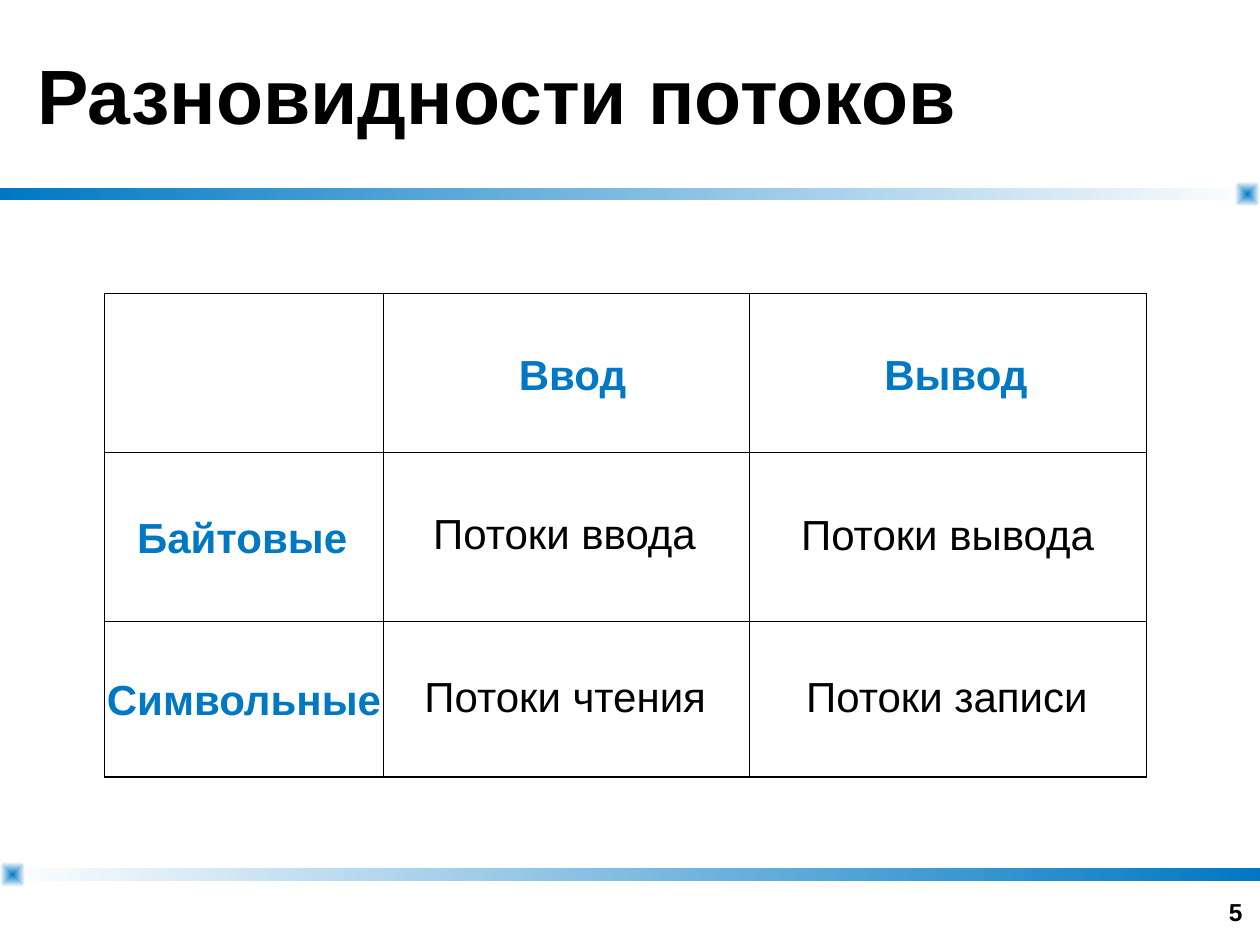
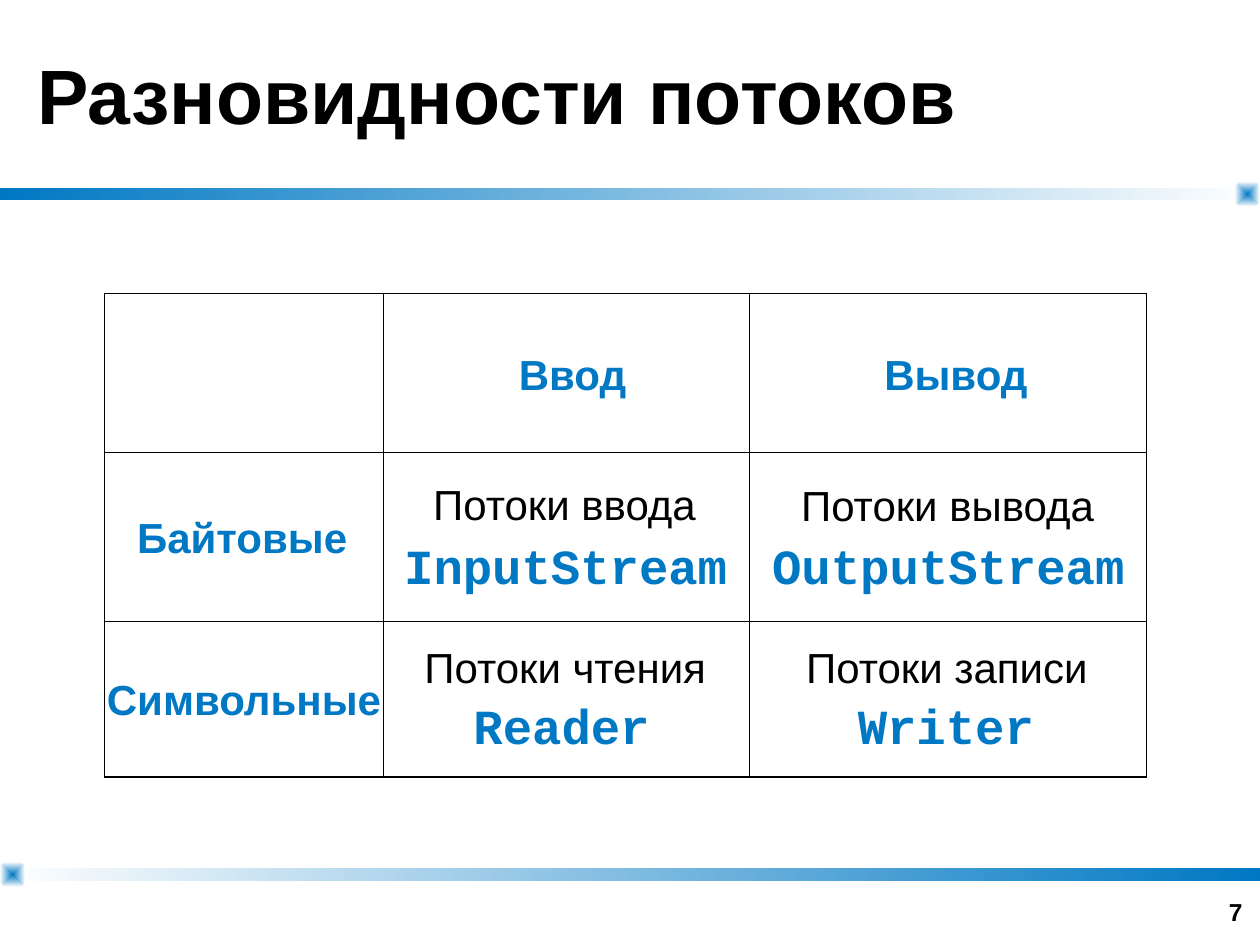
from lxml import etree
from pptx import Presentation
from pptx.dml.color import RGBColor
from pptx.enum.shapes import MSO_SHAPE
from pptx.enum.text import MSO_ANCHOR, MSO_AUTO_SIZE, PP_ALIGN
from pptx.oxml.ns import qn
from pptx.util import Inches, Pt

RECTANGLE, ROUNDED = MSO_SHAPE.RECTANGLE, MSO_SHAPE.ROUNDED_RECTANGLE
TOP, MIDDLE, BOTTOM = MSO_ANCHOR.TOP, MSO_ANCHOR.MIDDLE, MSO_ANCHOR.BOTTOM
LEFT, RIGHT = PP_ALIGN.LEFT, PP_ALIGN.RIGHT
NO_AUTO_SIZE = MSO_AUTO_SIZE.NONE

BLUE, WHITE, BLACK = "0078C3", "FFFFFF", "000000"
SANS, MONO = "Arial", "Courier New"

SLIDE_WIDTH, SLIDE_HEIGHT = 10, 7.5
BAND_HEIGHT, MARKER_SIZE = 0.1, 0.2
# band top, colour at left, colour at right, left edge of the marker
BANDS = [
    (1.49, BLUE, WHITE, SLIDE_WIDTH - MARKER_SIZE),
    (6.89, WHITE, BLUE, 0),
]

TITLE = "Разновидности потоков"
TABLE_LEFT, TABLE_TOP = 0.83, 2.33
COLUMN_WIDTHS = [2.21, 2.91, 3.15]
ROW_HEIGHTS = [1.26, 1.34, 1.24]
OUTER_LINE, INNER_LINE = 1.08, 0.45

# text, left, top, width
HEADINGS = [
    ("Ввод", 4.02, 2.72, 1.06),
    ("Вывод", 6.92, 2.72, 1.34),
    ("Байтовые", 0.99, 4.01, 1.87),
    ("Символьные", 0.75, 5.3, 2.39),
]
STREAM_KINDS = [
    ("Потоки ввода", 3.34, 3.98, 2.3),
    ("Потоки вывода", 6.26, 3.99, 2.54),
    ("Потоки чтения", 3.27, 5.27, 2.45),
    ("Потоки записи", 6.3, 5.27, 2.44),
]
CLASS_NAMES = [
    ("InputStream", 3.11, 4.2, 2.76),
    ("OutputStream", 6.03, 4.2, 2.99),
    ("Reader", 3.66, 5.47, 1.6),
    ("Writer", 6.71, 5.47, 1.6),
]
CLASS_NAME_SHIFT = 0.23  # stream kinds move up to make room for class names

# page number, class names
SLIDES = [("5", []), ("7", CLASS_NAMES)]


def color(hex_string):
    return RGBColor.from_string(hex_string)


def add_text(slide, text, left, top, width, height=0.5, *, size=24, font=SANS,
             fill=BLACK, bold=False, align=LEFT, anchor=TOP, wrap=False):
    box = slide.shapes.add_textbox(Inches(left), Inches(top), Inches(width), Inches(height))
    frame = box.text_frame
    frame.word_wrap = wrap
    frame.auto_size = NO_AUTO_SIZE
    frame.vertical_anchor = anchor
    paragraph = frame.paragraphs[0]
    paragraph.alignment = align
    run = paragraph.add_run()
    run.text = text
    run.font.name = font
    run.font.size = Pt(size)
    run.font.bold = bold
    run.font.color.rgb = color(fill)


def add_gradient_shape(slide, kind, left, top, width, height, start, end):
    shape = slide.shapes.add_shape(kind, Inches(left), Inches(top), Inches(width), Inches(height))
    shape.shadow.inherit = False
    shape.line.fill.background()
    shape.fill.gradient()
    shape.fill.gradient_angle = 0
    for stop, stop_color in zip(shape.fill.gradient_stops, (start, end)):
        stop.color.rgb = color(stop_color)
    return shape


def make_gradient_radiate(shape):
    """Turn a linear gradient into a rectangular one from the centre."""
    gradient = shape.fill._xPr.find(qn("a:gradFill"))
    gradient.remove(gradient.find(qn("a:lin")))
    route = etree.SubElement(gradient, qn("a:path"), path="rect")
    etree.SubElement(route, qn("a:fillToRect"),
                     {side: "50000" for side in ("l", "t", "r", "b")})


def add_bands(slide):
    for top, start, end, marker_left in BANDS:
        add_gradient_shape(slide, RECTANGLE, 0, top, SLIDE_WIDTH, BAND_HEIGHT, start, end)
        marker_top = top - (MARKER_SIZE - BAND_HEIGHT) / 2
        marker = add_gradient_shape(slide, ROUNDED, marker_left, marker_top,
                                    MARKER_SIZE, MARKER_SIZE, BLUE, WHITE)
        marker.adjustments[0] = 0.32
        make_gradient_radiate(marker)


def set_borders(cell, widths):
    """Draw black cell borders, widths given for left, right, top, bottom."""
    properties = cell._tc.get_or_add_tcPr()
    for index, (side, width) in enumerate(zip("LRTB", widths)):
        line = etree.Element(qn(f"a:ln{side}"), w=str(Pt(width)))
        fill = etree.SubElement(line, qn("a:solidFill"))
        etree.SubElement(fill, qn("a:srgbClr"), val=BLACK)
        properties.insert(index, line)


def add_grid(slide):
    row_count, column_count = len(ROW_HEIGHTS), len(COLUMN_WIDTHS)
    table = slide.shapes.add_table(
        row_count, column_count, Inches(TABLE_LEFT), Inches(TABLE_TOP),
        Inches(sum(COLUMN_WIDTHS)), Inches(sum(ROW_HEIGHTS))).table
    table.first_row = table.horz_banding = False
    for column, width in zip(table.columns, COLUMN_WIDTHS):
        column.width = Inches(width)
    for row, height in zip(table.rows, ROW_HEIGHTS):
        row.height = Inches(height)
    for row in range(row_count):
        for column in range(column_count):
            cell = table.cell(row, column)
            cell.fill.background()
            on_edge = (column == 0, column == column_count - 1,
                       row == 0, row == row_count - 1)
            set_borders(cell, [OUTER_LINE if edge else INNER_LINE for edge in on_edge])


def add_stream_slide(presentation, page_number, class_names):
    slide = presentation.slides.add_slide(presentation.slide_layouts[6])
    add_bands(slide)
    add_text(slide, page_number, 7.63, 6.9, 2.33, size=14, bold=True,
             align=RIGHT, anchor=BOTTOM, wrap=True)
    add_text(slide, TITLE, 0.2, 0, 9.6, 1.49, size=44, bold=True, anchor=MIDDLE, wrap=True)
    add_grid(slide)
    for text, left, top, width in HEADINGS:
        add_text(slide, text, left, top, width, fill=BLUE, bold=True)
    shift = CLASS_NAME_SHIFT if class_names else 0
    for text, left, top, width in STREAM_KINDS:
        add_text(slide, text, left, top - shift, width)
    for text, left, top, width in class_names:
        add_text(slide, text, left, top, width, 0.57, size=28, font=MONO, fill=BLUE, bold=True)


def main():
    presentation = Presentation()
    presentation.slide_width = Inches(SLIDE_WIDTH)
    presentation.slide_height = Inches(SLIDE_HEIGHT)
    for page_number, class_names in SLIDES:
        add_stream_slide(presentation, page_number, class_names)
    presentation.save("out.pptx")


if __name__ == "__main__":
    main()
